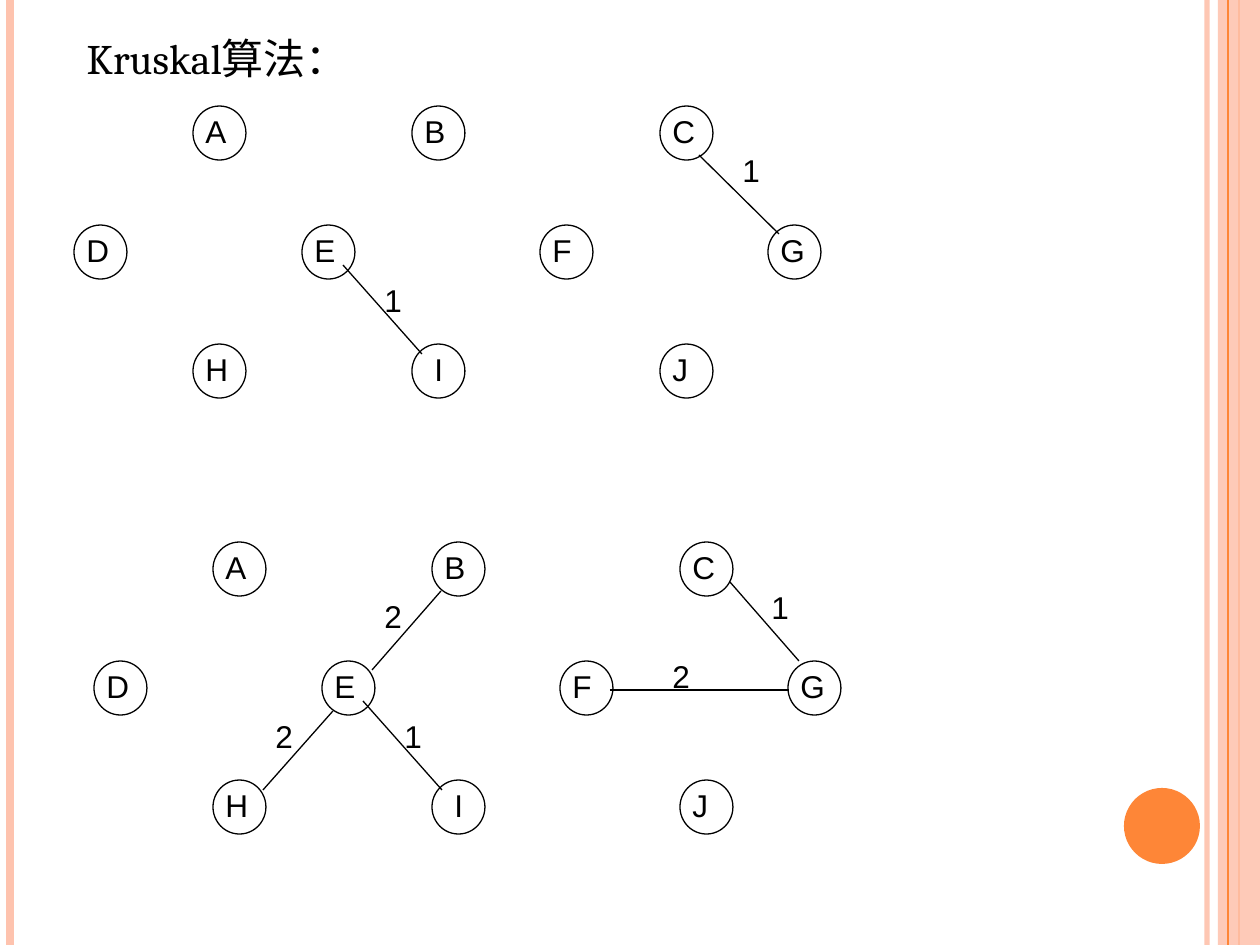
import pptx
import pptx.dml.color
import pptx.enum.shapes
import pptx.enum.text
import pptx.oxml
import pptx.oxml.ns
import pptx.util

RGBColor = pptx.dml.color.RGBColor
MSO_SHAPE = pptx.enum.shapes.MSO_SHAPE
BLACK = RGBColor(0x00, 0x00, 0x00)
ORANGE = RGBColor(0xFE, 0x86, 0x37)
PEACH = RGBColor(0xFE, 0xC3, 0xAE)

PX = pptx.util.Inches(1) / 126
SLIDE_W, SLIDE_H = 1260, 945
NODE_W, NODE_H = 53, 54
LABEL_W, LABEL_H = 59, 50
ROW_STEP = 119

# Node name: column offset in px, row number
NODES = {
    "D": (0, 1), "A": (119, 0), "H": (119, 2), "E": (228, 1), "B": (338, 0),
    "I": (338, 2), "F": (466, 1), "C": (586, 0), "J": (586, 2), "G": (694, 1),
}
LABEL_SHIFT = {"I": 10}

# Edge: weight, line start, line end, label corner
EDGE_EI = ("1", (269, 159), (348, 248), (298, 169))
FIRST_EDGES = [EDGE_EI, ("1", (625, 49), (705, 128), (656, 39))]
SECOND_EDGES = [
    EDGE_EI,
    ("2", (239, 169), (169, 248), (169, 169)),
    ("2", (278, 128), (347, 49), (278, 49)),
    ("2", (516, 148), (695, 148), (566, 109)),
    ("1", (636, 40), (705, 119), (665, 40)),
]


def emu(*lengths):
    return [round(n * PX) for n in lengths]


def set_alpha(sp, percent):
    """Make the one solid colour of a shape partly transparent."""
    color = next(sp._element.spPr.iter(pptx.oxml.ns.qn("a:srgbClr")))
    color.append(pptx.oxml.parse_xml(
        f'<a:alpha {pptx.oxml.ns.nsdecls("a")} val="{percent * 1000}"/>'))


def add_line(shapes, start, end, color, width):
    line = shapes.add_connector(
        pptx.enum.shapes.MSO_CONNECTOR.STRAIGHT, *emu(*start, *end))
    line.line.color.rgb = color
    line.line.width = pptx.util.Pt(width)
    line._element.spPr.append(pptx.oxml.parse_xml(
        f'<a:effectLst {pptx.oxml.ns.nsdecls("a")}/>'))
    return line


def add_filled(shapes, kind, box, color):
    sp = shapes.add_shape(kind, *emu(*box))
    sp.shadow.inherit = False
    sp.fill.solid()
    sp.fill.fore_color.rgb = color
    sp.line.fill.background()
    return sp


def add_label(shapes, text, x, y):
    tf = shapes.add_textbox(*emu(x, y, LABEL_W, LABEL_H)).text_frame
    tf.word_wrap = True
    p = tf.paragraphs[0]
    p.text = text
    p.font.name = "Arial"
    p.font.size = pptx.util.Pt(18)
    p.font.color.rgb = BLACK


def add_side_bands(shapes, width, height):
    def vertical(x, color, line_width):
        return add_line(shapes, (x, 0), (x, height), color, line_width)

    set_alpha(vertical(width - 53, PEACH, 3), 93)
    vertical(10, PEACH, 4.5)
    vertical(width - 21, ORANGE, 1.5)
    band = add_filled(shapes, MSO_SHAPE.RECTANGLE,
                      (width - 42, 0, 42, height), PEACH)
    set_alpha(band, 87)
    vertical(width - 32, ORANGE, 0.75)
    add_filled(shapes, MSO_SHAPE.OVAL,
               (width - 136, height - 157, 76, 76), ORANGE)


def set_title(title, text, box):
    title.left, title.top, title.width, title.height = emu(*box)
    tf = title.text_frame
    tf.vertical_anchor = pptx.enum.text.MSO_ANCHOR.TOP
    p = tf.paragraphs[0]
    p.text = text
    p.alignment = pptx.enum.text.PP_ALIGN.LEFT
    p.font.name = "Cambria"
    p.font.size = pptx.util.Pt(24)
    p.font.color.rgb = BLACK


def add_graph(slide, left, top, edges):
    shapes = slide.shapes.add_group_shape().shapes
    for name, (x, row) in NODES.items():
        x, y = left + x, top + row * ROW_STEP
        node = shapes.add_shape(MSO_SHAPE.OVAL, *emu(x, y, NODE_W, NODE_H))
        node.shadow.inherit = False
        node.fill.background()
        node.line.color.rgb = BLACK
        node.line.width = pptx.util.Pt(0.75)
        add_label(shapes, name, x + LABEL_SHIFT.get(name, 0), y)
    for weight, *points in edges:
        start, end, corner = [(left + x, top + y) for x, y in points]
        add_line(shapes, start, end, BLACK, 0.75)
        add_label(shapes, weight, *corner)


def main():
    prs = pptx.Presentation()
    prs.slide_width, prs.slide_height = emu(SLIDE_W, SLIDE_H)
    slide = prs.slides.add_slide(prs.slide_layouts.get_by_name("Title Only"))
    add_side_bands(slide.shapes, SLIDE_W, SLIDE_H)
    set_title(slide.shapes.title, "Kruskal算法：", (74, 26, 1134, 844))
    add_graph(slide, 74, 106, FIRST_EDGES)
    add_graph(slide, 94, 542, SECOND_EDGES)
    prs.save("out.pptx")


if __name__ == "__main__":
    main()
